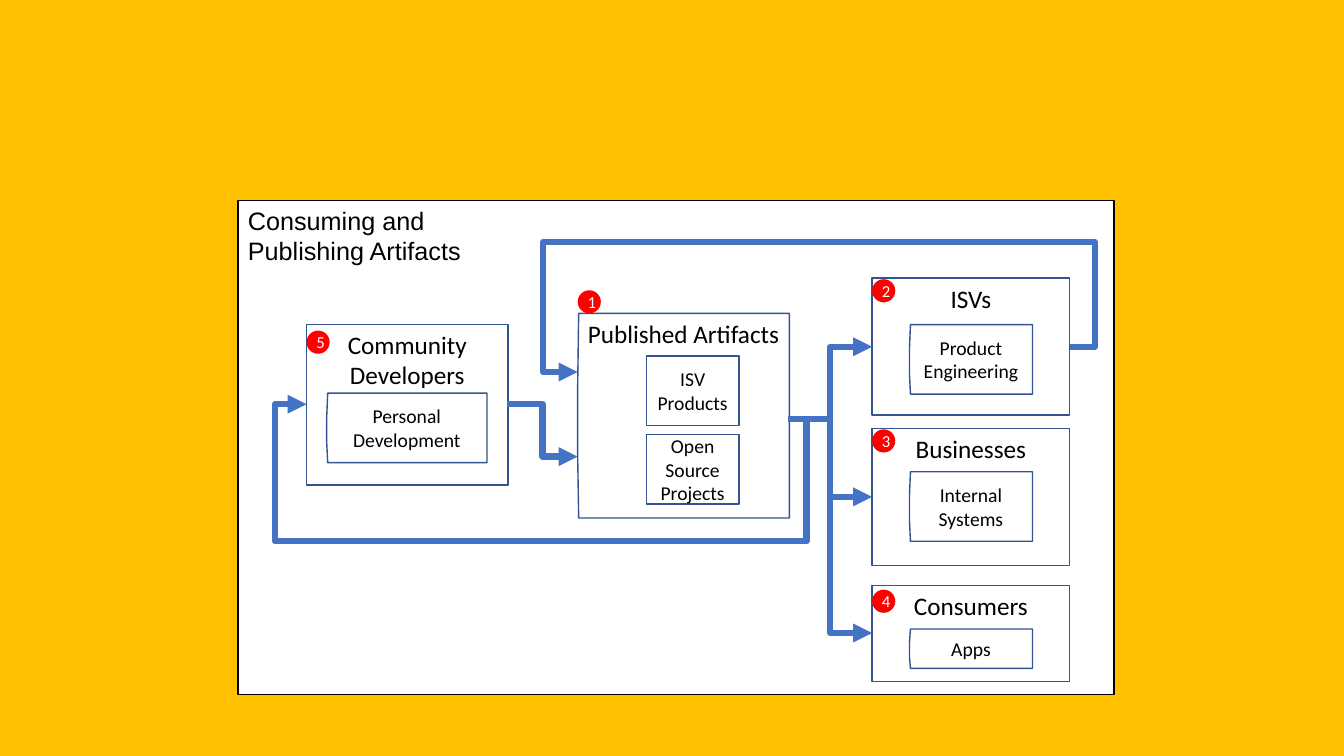
from dataclasses import dataclass

from lxml.etree import SubElement
from pptx import Presentation
from pptx.dml.color import RGBColor
from pptx.enum.shapes import MSO_CONNECTOR, MSO_SHAPE
from pptx.enum.text import MSO_ANCHOR, PP_ALIGN
from pptx.oxml.ns import qn
from pptx.util import Inches, Pt


@dataclass(frozen=True)
class Theme:
    """Colours, fonts and type sizes of the slide."""
    background: RGBColor = RGBColor(0xFF, 0xC0, 0x00)
    white: RGBColor = RGBColor(0xFF, 0xFF, 0xFF)
    black: RGBColor = RGBColor(0x00, 0x00, 0x00)
    outline: RGBColor = RGBColor(0x32, 0x54, 0x91)
    flow: RGBColor = RGBColor(0x44, 0x72, 0xC4)
    badge: RGBColor = RGBColor(0xFF, 0x00, 0x00)
    title_font: str = "Arial"
    body_font: str = "Calibri"
    heading_size: Pt = Pt(18)
    item_size: Pt = Pt(14)
    badge_size: Pt = Pt(12)
    outline_width: Pt = Pt(1)
    flow_width: Pt = Pt(4.5)


THEME = Theme()


def paint(shape, fill=None, line=None):
    """Set the fill and outline of a shape, with None for no paint."""
    shape.shadow.inherit = False
    if fill is None:
        shape.fill.background()
    else:
        shape.fill.solid()
        shape.fill.fore_color.rgb = fill
    if line is None:
        shape.line.fill.background()
    else:
        shape.line.color.rgb = line
        shape.line.width = THEME.outline_width


def write(shape, text, size, color=THEME.black, font=THEME.body_font,
          align=PP_ALIGN.CENTER, anchor=MSO_ANCHOR.TOP):
    """Put formatted text in a shape."""
    frame = shape.text_frame
    frame.text = text
    frame.word_wrap = True
    frame.vertical_anchor = anchor
    for paragraph in frame.paragraphs:
        paragraph.alignment = align
        for run in paragraph.runs:
            run.font.size = size
            run.font.name = font
            run.font.color.rgb = color


def add_box(slide, left, top, width, height, fill=None, line=THEME.outline):
    """Add a plain rectangle."""
    shape = slide.shapes.add_shape(MSO_SHAPE.RECTANGLE, Inches(left), Inches(top),
                                   Inches(width), Inches(height))
    paint(shape, fill, line)
    return shape


def add_sketched_box(slide, left, top, width, height, fill=None):
    """Add a box whose left edge bows slightly outwards."""
    right, bottom, inner = left + width, top + height, left + 0.01
    corners = [(right, top), (right, bottom), (inner, bottom),
               (left, top + height * 0.7), (left, top + height * 0.35)]
    builder = slide.shapes.build_freeform(Inches(inner), Inches(top))
    builder.add_line_segments([(Inches(x), Inches(y)) for x, y in corners])
    shape = builder.convert_to_shape()
    paint(shape, fill, THEME.outline)
    return shape


def add_group(slide, title, left, top, width, height):
    """Add an outlined group with its heading."""
    write(add_box(slide, left, top, width, height), title, THEME.heading_size)


def add_item(slide, text, left, top, width, height=0.69, maker=add_sketched_box):
    """Add an inner box with a centred label."""
    write(maker(slide, left, top, width, height), text, THEME.item_size,
          anchor=MSO_ANCHOR.MIDDLE)


def add_badge(slide, number, left, top):
    """Add a numbered round badge."""
    shape = slide.shapes.add_shape(MSO_SHAPE.OVAL, Inches(left), Inches(top),
                                   Inches(0.23), Inches(0.23))
    paint(shape, THEME.badge)
    write(shape, str(number), THEME.badge_size, THEME.white, anchor=MSO_ANCHOR.MIDDLE)


def add_flow(slide, start, end, detour=None):
    """Add an elbow arrow; a detour gives first bend x, channel y and last bend x."""
    connector = slide.shapes.add_connector(
        MSO_CONNECTOR.ELBOW, *(Inches(value) for value in (*start, *end)))
    connector.line.color.rgb = THEME.flow
    connector.line.width = THEME.flow_width
    properties = connector._element.spPr
    SubElement(connector.line._get_or_add_ln(), qn("a:tailEnd"), type="triangle")
    SubElement(properties, qn("a:effectLst"))
    if detour:
        geometry = properties.find(qn("a:prstGeom"))
        geometry.set("prst", "bentConnector5")
        guides = geometry.find(qn("a:avLst"))
        for index, (position, axis) in enumerate(zip(detour, (0, 1, 0)), 1):
            ratio = (position - start[axis]) / (end[axis] - start[axis])
            SubElement(guides, qn("a:gd"), name=f"adj{index}",
                       fmla=f"val {round(ratio * 100000)}")


def add_published_artifacts(slide):
    """Add the central group of published artifacts."""
    shape = add_sketched_box(slide, 5.73, 3.11, 2.1, 2.03, THEME.white)
    shape.text_frame.margin_left = shape.text_frame.margin_right = 0
    write(shape, "Published Artifacts", THEME.heading_size)
    for text, top in (("ISV Products", 3.53), ("Open Source Projects", 4.31)):
        add_item(slide, text, 6.41, top, 0.92, maker=add_box)


def main():
    """Build and save the slide."""
    presentation = Presentation()
    presentation.slide_width = Inches(13.33)
    presentation.slide_height = Inches(7.5)
    slide = presentation.slides.add_slide(presentation.slide_layouts[6])
    slide.background.fill.solid()
    slide.background.fill.fore_color.rgb = THEME.background

    panel = add_box(slide, 2.36, 1.99, 8.69, 4.9, THEME.white, THEME.black)
    write(panel, "Consuming and \vPublishing Artifacts", THEME.heading_size,
          font=THEME.title_font, align=PP_ALIGN.LEFT)

    add_published_artifacts(slide)
    add_group(slide, "Community Developers", 3.04, 3.22, 2, 1.59)
    add_item(slide, "Personal Development", 3.24, 3.9, 1.59)

    output = (7.82, 4.16)
    consumers = (
        ("ISVs", 2.76, 1.36, "Product Engineering", 3.22, 0.69, 3.44),
        ("Businesses", 4.25, 1.36, "Internal Systems", 4.68, 0.69, 4.93),
        ("Consumers", 5.81, 0.95, "Apps", 6.24, 0.39, 6.28),
    )
    for title, top, height, item, item_top, item_height, entry in consumers:
        add_group(slide, title, 8.65, top, 1.96, height)
        add_item(slide, item, 9.02, item_top, 1.22, item_height)
        add_flow(slide, output, (8.65, entry))

    add_flow(slide, (5.03, 4.01), (5.73, 4.53))
    add_flow(slide, (10.61, 3.44), (5.73, 3.69), (10.86, 2.4, 5.39))
    add_flow(slide, (8.25, 4.16), (3.04, 4.01), (8, 5.37, 2.73))

    badges = ((5.73, 2.88), (8.65, 2.77), (8.65, 4.26), (8.65, 5.85), (3.04, 3.28))
    for number, (left, top) in enumerate(badges, 1):
        add_badge(slide, number, left, top)

    presentation.save("out.pptx")


if __name__ == "__main__":
    main()
